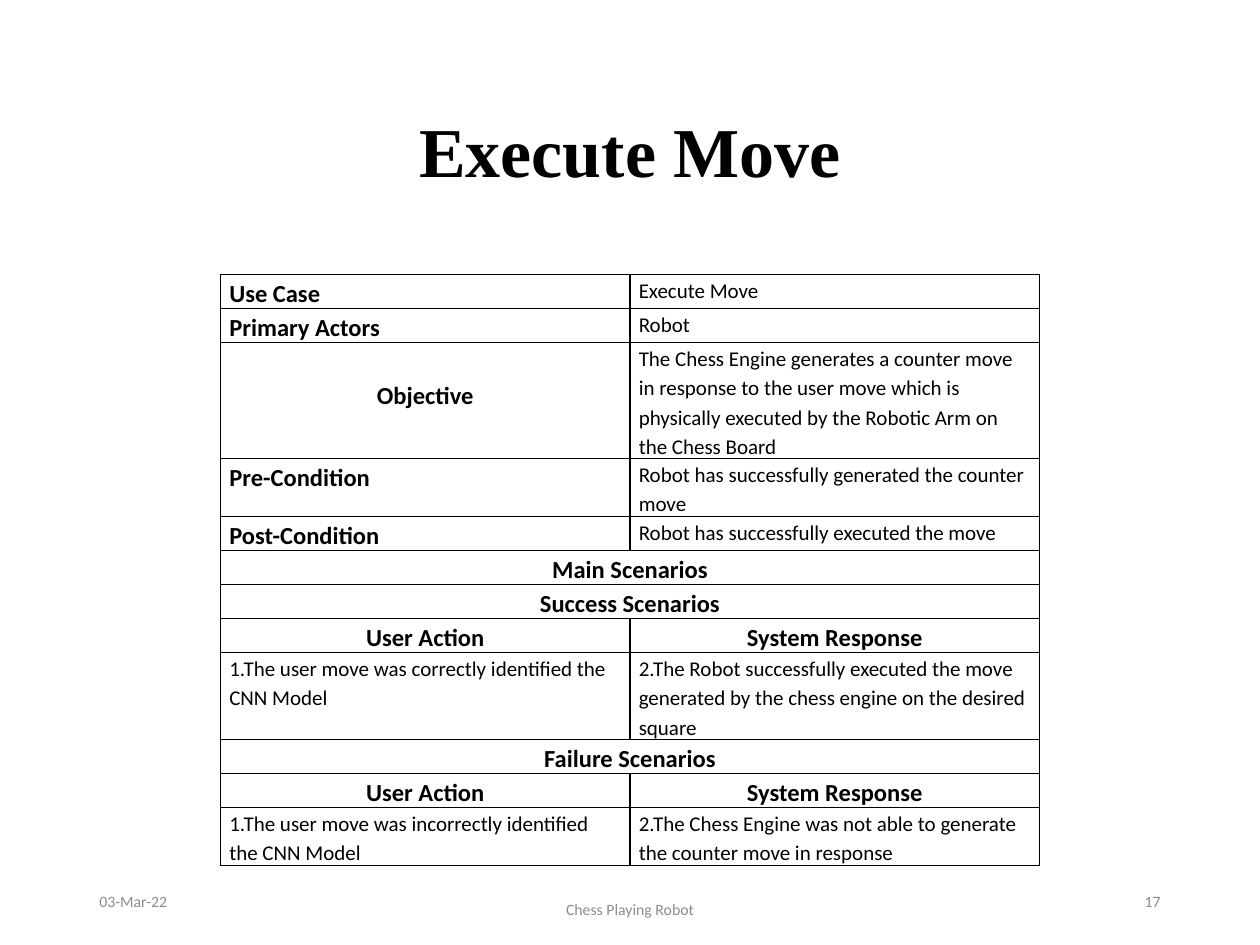
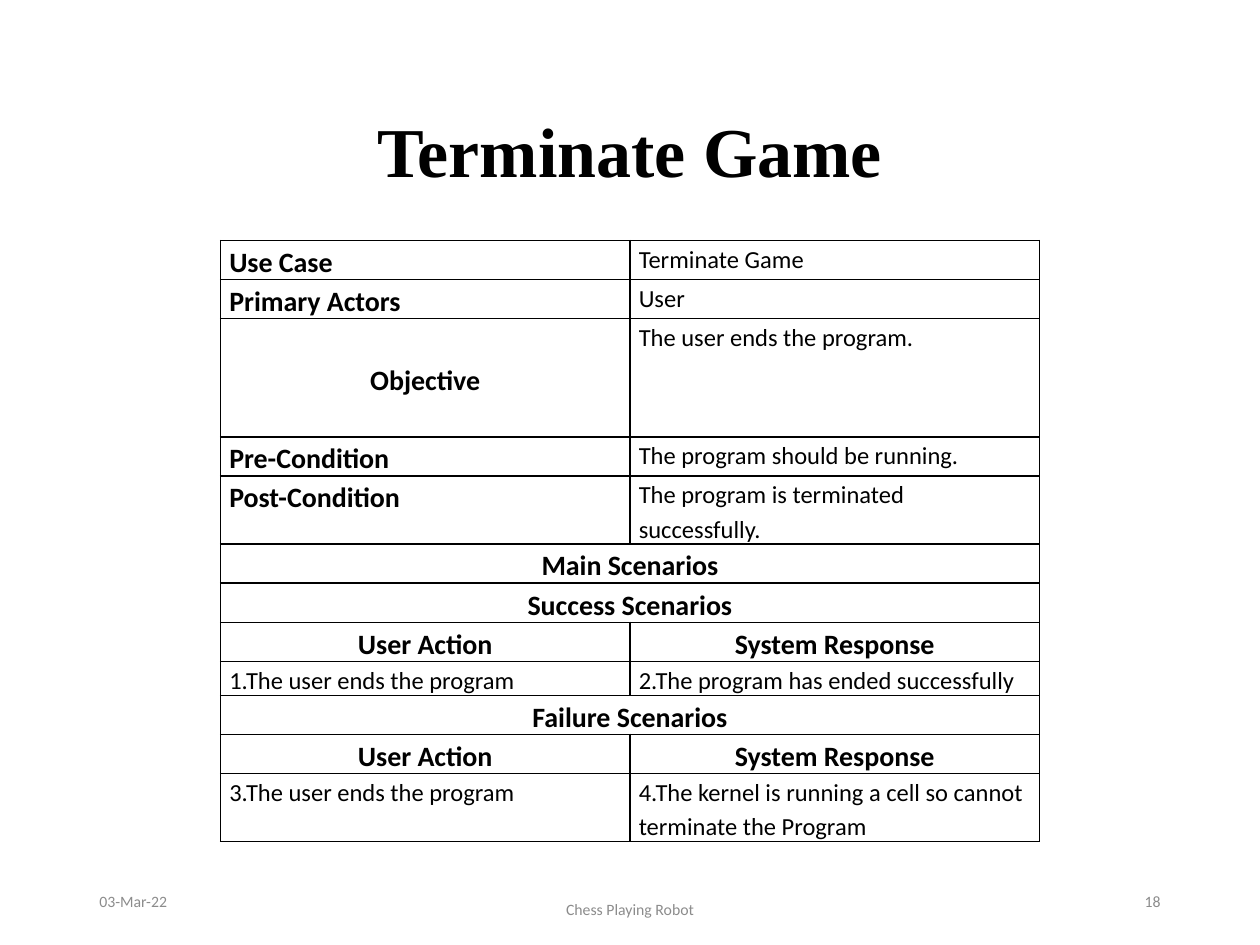
from lxml.etree import SubElement
from pptx import Presentation
from pptx.dml.color import RGBColor
from pptx.enum.text import MSO_ANCHOR, PP_ALIGN
from pptx.oxml.ns import qn
from pptx.util import Inches, Pt

BLACK = RGBColor(0, 0, 0)
GREY = RGBColor(0x8C, 0x8C, 0x8C)
BODY_FONT = "Calibri"
TITLE_FONT = "Times New Roman"

SLIDE_WIDTH, SLIDE_HEIGHT = 10, 7.5
TABLE_LEFT, COLUMN_WIDTH = 1.75, 3.25
CELL_INSET = 0.07
LINE_SPACING = 1.15

TITLE_FORMAT = {"name": TITLE_FONT, "size": Pt(40), "bold": True}
FOOTER_FORMAT = {"name": BODY_FONT, "size": Pt(9)}
DATE = "03-Mar-22"
PROJECT = "Chess Playing Robot"
CENTRED_LABELS = ("Objective", "User Action", "System Response")
SCENARIO_HEADS = ("User Action", "System Response")

USE_CASES = [
    {
        "name": "Execute Move", "number": 17, "top": 2.18, "text_size": 12,
        "row_height": 0.27, "tall_rows": {2: 0.92, 3: 0.46, 8: 0.69, 11: 0.46},
        "objective_lift": 0.1,
        "details": [
            "Robot",
            "The Chess Engine generates a counter move in response to the user move "
            "which is physically executed by the Robotic Arm on the Chess Board",
            "Robot has successfully generated the counter move",
            "Robot has successfully executed the move",
        ],
        "success": (
            "1.The user move was correctly identified the CNN Model",
            "2.The Robot successfully executed the move generated by the chess engine "
            "on the desired square",
        ),
        "failure": (
            "1.The user move was incorrectly identified the CNN Model",
            "2.The Chess Engine was not able to generate the counter move in response",
        ),
    },
    {
        "name": "Terminate Game", "number": 18, "top": 1.91, "text_size": 14,
        "row_height": 0.31, "tall_rows": {2: 0.94, 4: 0.54, 8: 0.27, 11: 0.54},
        "objective_lift": 0,
        "details": [
            "User",
            "The user ends the program.",
            "The program should be running.",
            "The program is terminated successfully.",
        ],
        "success": ("1.The user ends the program", "2.The program has ended successfully"),
        "failure": (
            "3.The user ends the program",
            "4.The kernel is running a cell so cannot terminate the Program",
        ),
    },
]


def set_values(target, values):
    """Set each named attribute of the target."""
    for name, value in values.items():
        setattr(target, name, value)


def write_text(frame, text, font_format, color, align):
    """Write one formatted paragraph into a text frame and return it."""
    para = frame.paragraphs[0]
    para.alignment = align
    span = para.add_run()
    span.text = text
    set_values(span.font, font_format)
    span.font.color.rgb = color
    return para


def add_text(page, place, text, font_format, color, align, frame_format):
    """Add a wrapping text box."""
    box = page.shapes.add_textbox(*map(Inches, place))
    set_values(box.text_frame, {"word_wrap": True, **frame_format})
    write_text(box.text_frame, text, font_format, color, align)


def add_title(page, text):
    """Add the centred slide title."""
    insets = {"margin_top": Inches(0.12), "margin_bottom": Inches(0.03)}
    add_text(page, (0, 0.73, SLIDE_WIDTH, 0.77), text, TITLE_FORMAT, BLACK,
             PP_ALIGN.CENTER, insets)


def add_footer(page, number):
    """Add the date, project name and slide number."""
    middle = {"vertical_anchor": MSO_ANCHOR.MIDDLE}
    for place, text, align in (
        ((0.69, 6.95, 2.25, 0.4), DATE, PP_ALIGN.LEFT),
        ((0, 7.08, SLIDE_WIDTH, 0.27), PROJECT, PP_ALIGN.CENTER),
        ((7.06, 6.95, 2.25, 0.4), str(number), PP_ALIGN.RIGHT),
    ):
        add_text(page, place, text, FOOTER_FORMAT, GREY, align, middle)


def add_borders(cell):
    """Draw a black one-point line on every side of a cell."""
    properties = cell._tc.get_or_add_tcPr()
    for side in ("lnL", "lnR", "lnT", "lnB"):
        line = SubElement(properties, qn(f"a:{side}"), w=str(Pt(1)))
        fill = SubElement(line, qn("a:solidFill"))
        SubElement(fill, qn("a:srgbClr"), val=str(BLACK))


def fill_cell(cell, text, size, bold, centred):
    """Write the text of a table cell."""
    align = PP_ALIGN.CENTER if centred else PP_ALIGN.LEFT
    font_format = {"name": BODY_FONT, "size": Pt(size), "bold": bold}
    para = write_text(cell.text_frame, text, font_format, BLACK, align)
    para.line_spacing = LINE_SPACING


def table_rows(case):
    """List the rows of a use case; a row with one text spans both columns."""
    labels = ("Use Case", "Primary Actors", "Objective", "Pre-Condition", "Post-Condition")
    return [
        *zip(labels, [case["name"], *case["details"]]),
        ("Main Scenarios",),
        ("Success Scenarios",), SCENARIO_HEADS, case["success"],
        ("Failure Scenarios",), SCENARIO_HEADS, case["failure"],
    ]


def add_use_case_table(page, case):
    """Add the table that describes a use case."""
    rows = table_rows(case)
    heights = [case["tall_rows"].get(index, case["row_height"]) for index in range(len(rows))]
    place = (TABLE_LEFT, case["top"], 2 * COLUMN_WIDTH, sum(heights))
    table = page.shapes.add_table(len(rows), 2, *map(Inches, place)).table
    set_values(table, {"first_row": False, "horz_banding": False})
    for cell in table.iter_cells():
        add_borders(cell)
        cell.fill.background()
        set_values(cell, {"margin_left": Inches(CELL_INSET), "margin_right": Inches(CELL_INSET),
                          "margin_top": 0, "margin_bottom": 0})
    for index, (texts, height) in enumerate(zip(rows, heights)):
        table.rows[index].height = Inches(height)
        spans_both = len(texts) == 1
        if spans_both:
            table.cell(index, 0).merge(table.cell(index, 1))
        for column, text in enumerate(texts):
            cell = table.cell(index, column)
            is_label = spans_both or texts == SCENARIO_HEADS or (index < 5 and column == 0)
            size = case["text_size"] + (2 if is_label else 0)
            fill_cell(cell, text, size, is_label, spans_both or text in CENTRED_LABELS)
            if text == "Objective":
                set_values(cell, {"vertical_anchor": MSO_ANCHOR.MIDDLE,
                                  "margin_bottom": Inches(case["objective_lift"])})


def main():
    """Build the deck, one slide for each use case."""
    deck = Presentation()
    set_values(deck, {"slide_width": Inches(SLIDE_WIDTH), "slide_height": Inches(SLIDE_HEIGHT)})
    for case in USE_CASES:
        page = deck.slides.add_slide(deck.slide_layouts[6])
        add_footer(page, case["number"])
        add_use_case_table(page, case)
        add_title(page, case["name"])
    deck.save("out.pptx")


if __name__ == "__main__":
    main()
